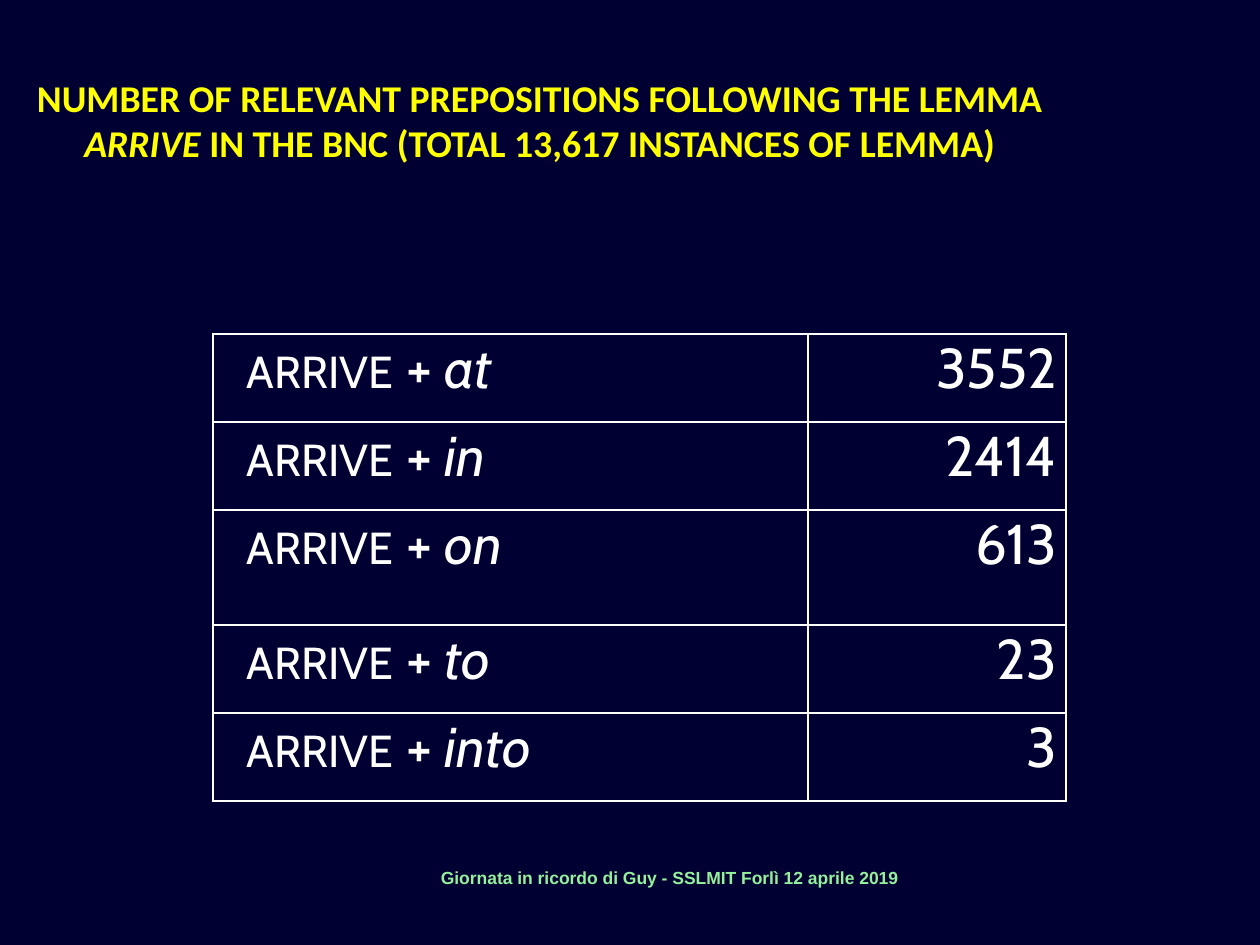
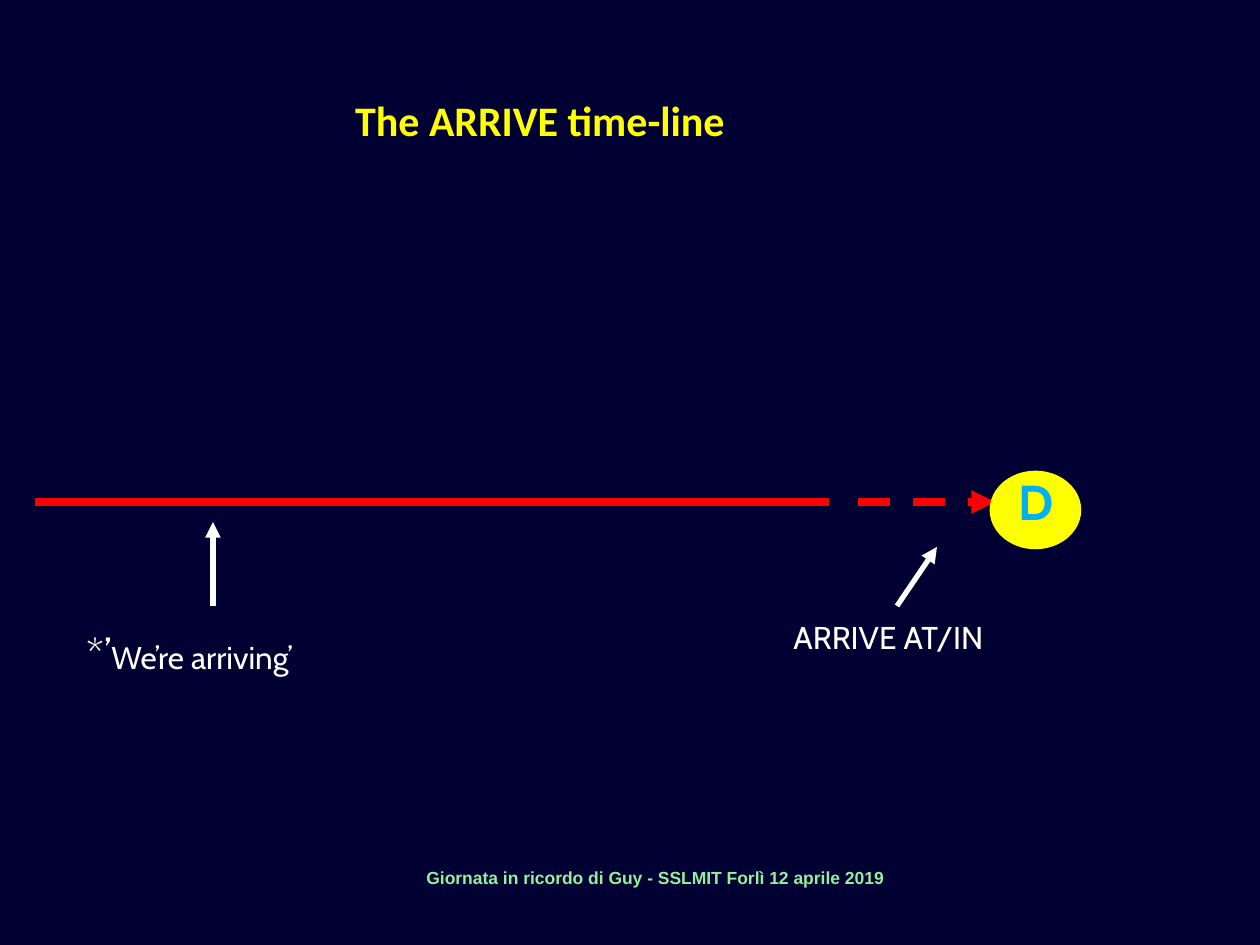
from lxml import etree
from pptx import Presentation
from pptx.dml.color import RGBColor
from pptx.enum.dml import MSO_LINE
from pptx.enum.shapes import MSO_CONNECTOR, MSO_SHAPE
from pptx.enum.text import MSO_ANCHOR, PP_ALIGN
from pptx.oxml import parse_xml
from pptx.oxml.ns import nsdecls, qn
from pptx.util import Emu, Pt

NAVY = RGBColor(0x00, 0x00, 0x32)
YELLOW = RGBColor(0xFF, 0xFF, 0x00)
WHITE = RGBColor(0xFF, 0xFF, 0xFF)
RED = RGBColor(0xFF, 0x00, 0x00)
SKY = RGBColor(0x00, 0xB0, 0xF0)
MINT = RGBColor(0x94, 0xF0, 0x9B)

LEFT, CENTER, RIGHT = PP_ALIGN.LEFT, PP_ALIGN.CENTER, PP_ALIGN.RIGHT
MIDDLE = MSO_ANCHOR.MIDDLE
DASH = MSO_LINE.DASH
STRAIGHT = MSO_CONNECTOR.STRAIGHT
OVAL = MSO_SHAPE.OVAL

EMU_PER_PX = 914400 / 126
TITLE_ONLY = 5
ITALIC = {"italic": True}

FOOTER = "Giornata in ricordo di Guy - SSLMIT Forlì 12 aprile 2019"
TITLE_FORMAT = {"name": "Calibri", "bold": True, "color": YELLOW}
FOOTER_FORMAT = {"name": "Arial", "bold": True, "color": MINT, "size": 10}
TEXT_FORMAT = {"name": "Cabin", "color": WHITE, "size": 18}
CELL_FORMAT = {**TEXT_FORMAT, "size": 32}

COUNTS_TITLE = [
    ("NUMBER OF RELEVANT PREPOSITIONS FOLLOWING THE LEMMA ", {}),
    ("ARRIVE", ITALIC),
    (" IN THE BNC (TOTAL 13,617 INSTANCES OF LEMMA)", {}),
]
COUNTS = [("at", 3552), ("in", 2414), ("on", 613), ("to", 23), ("into", 3)]
TABLE_BOX = (213, 334, 853, 466)
COLUMN_WIDTHS = [595, 258]
ROW_HEIGHTS = [88, 88, 115, 88, 88]

TIMELINE_TITLE = [("The ARRIVE time-line", {})]
DESTINATION_BOX = (991, 472, 89, 76)
ARROWS = [
    {"ends": (35, 502, 829, 502), "color": RED, "width": 4.5},
    {"ends": (858, 502, 995, 502), "color": RED, "width": 4.5, "dash": DASH, "head": True},
    {"ends": (213, 606, 213, 522), "color": WHITE, "width": 3, "head": True},
    {"ends": (897, 606, 937, 547), "color": WHITE, "width": 3, "head": True},
]
LABELS = [
    ((781, 612, 465, 50), [("ARRIVE AT/IN", {})]),
    ((74, 621, 387, 63), [("*’", {"size": 24}), ("We’re arriving’", {})]),
    ((1006, 465, 59, 72), [("D", {"size": 28, "bold": True, "color": SKY})]),
]


def px(value):
    return Emu(round(value * EMU_PER_PX))


def box(values):
    return [px(value) for value in values]


def write(paragraph, runs, base, alignment=LEFT):
    paragraph.alignment = alignment
    for text, changes in runs:
        run = paragraph.add_run()
        run.text = text
        for key, value in {**base, **changes}.items():
            if key == "color":
                run.font.color.rgb = value
            elif key == "caps":
                run.font._element.set("cap", value)
            else:
                setattr(run.font, key, Pt(value) if key == "size" else value)


def add_text(slide, position, runs, base, alignment=LEFT):
    frame = slide.shapes.add_textbox(*box(position)).text_frame
    frame.word_wrap = True
    write(frame.paragraphs[0], runs, base, alignment)


def add_slide(presentation, title_runs, title_size, footer_width):
    slide = presentation.slides.add_slide(presentation.slide_layouts[TITLE_ONLY])
    title = slide.shapes.title
    for name, value in zip(("left", "top", "width", "height"), (0, 45, 1080, 150)):
        setattr(title, name, px(value))
    title.text_frame.vertical_anchor = MIDDLE
    write(title.text_frame.paragraphs[0], title_runs,
          {**TITLE_FORMAT, "size": title_size}, CENTER)
    add_text(slide, (412, 861, footer_width, 66), [(FOOTER, {})], FOOTER_FORMAT, CENTER)
    return slide


def add_arrow(slide, ends, color, width, dash=None, head=False):
    connector = slide.shapes.add_connector(STRAIGHT, *box(ends))
    line = connector.line
    line.color.rgb = color
    line.width = Pt(width)
    if dash:
        line.dash_style = dash
    if head:
        etree.SubElement(line._get_or_add_ln(), qn("a:tailEnd"), type="triangle")
    etree.SubElement(connector._element.spPr, qn("a:effectLst"))


def fill_cell(cell, runs, alignment):
    cell.fill.solid()
    cell.fill.fore_color.rgb = NAVY
    for side, margin in {"left": 9, "right": 9, "top": 0, "bottom": 0}.items():
        setattr(cell, f"margin_{side}", px(margin))
    paragraph = cell.text_frame.paragraphs[0]
    write(paragraph, runs, CELL_FORMAT, alignment)
    paragraph._p.get_or_add_pPr().set("indent", str(px(25)))
    properties = cell._tc.get_or_add_tcPr()
    for index, side in enumerate("LRTB"):
        properties.insert(index, parse_xml(
            f'<a:ln{side} {nsdecls("a")} w="{Pt(1)}"><a:solidFill>'
            f'<a:srgbClr val="{WHITE}"/></a:solidFill></a:ln{side}>'))


def add_counts_table(slide):
    table = slide.shapes.add_table(len(COUNTS), 2, *box(TABLE_BOX)).table
    table.first_row = table.horz_banding = False
    for column, width in zip(table.columns, COLUMN_WIDTHS):
        column.width = px(width)
    for row, height, (preposition, count) in zip(table.rows, ROW_HEIGHTS, COUNTS):
        row.height = px(height)
        lemma_runs = [("arrive", {"caps": "small"}), (" + ", {}), (preposition, ITALIC)]
        fill_cell(row.cells[0], lemma_runs, LEFT)
        fill_cell(row.cells[1], [(str(count), {})], RIGHT)


def add_timeline(slide):
    for arrow in ARROWS[:2]:
        add_arrow(slide, **arrow)
    destination = slide.shapes.add_shape(OVAL, *box(DESTINATION_BOX))
    destination.shadow.inherit = False
    destination.fill.solid()
    destination.fill.fore_color.rgb = YELLOW
    destination.line.color.rgb = YELLOW
    destination.line.width = Pt(1.5)
    for position, runs in LABELS:
        add_text(slide, position, runs, TEXT_FORMAT)
    for arrow in ARROWS[2:]:
        add_arrow(slide, **arrow)


def main():
    presentation = Presentation()
    presentation.slide_width, presentation.slide_height = px(1260), px(945)
    background = presentation.slide_master.background.fill
    background.solid()
    background.fore_color.rgb = NAVY
    add_counts_table(add_slide(presentation, COUNTS_TITLE, 21.6, 515))
    add_timeline(add_slide(presentation, TIMELINE_TITLE, 24, 486))
    presentation.save("out.pptx")


if __name__ == "__main__":
    main()
